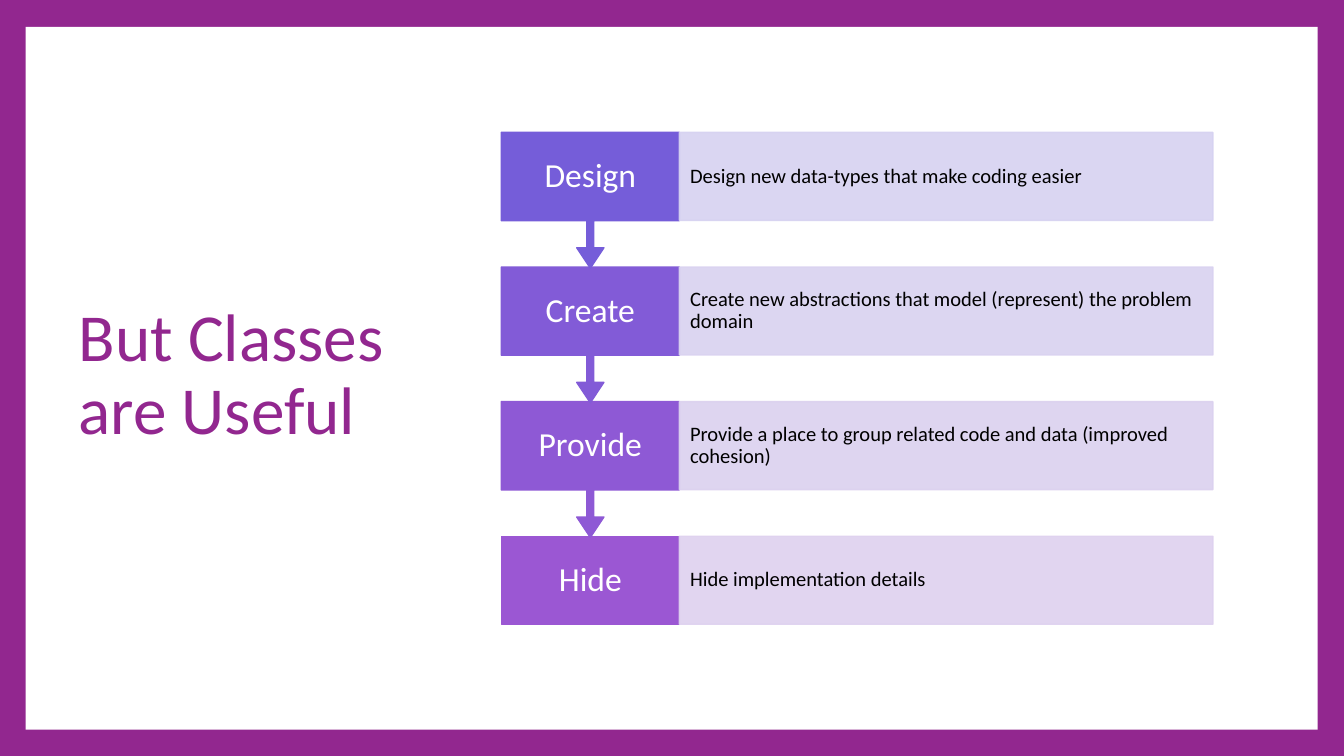
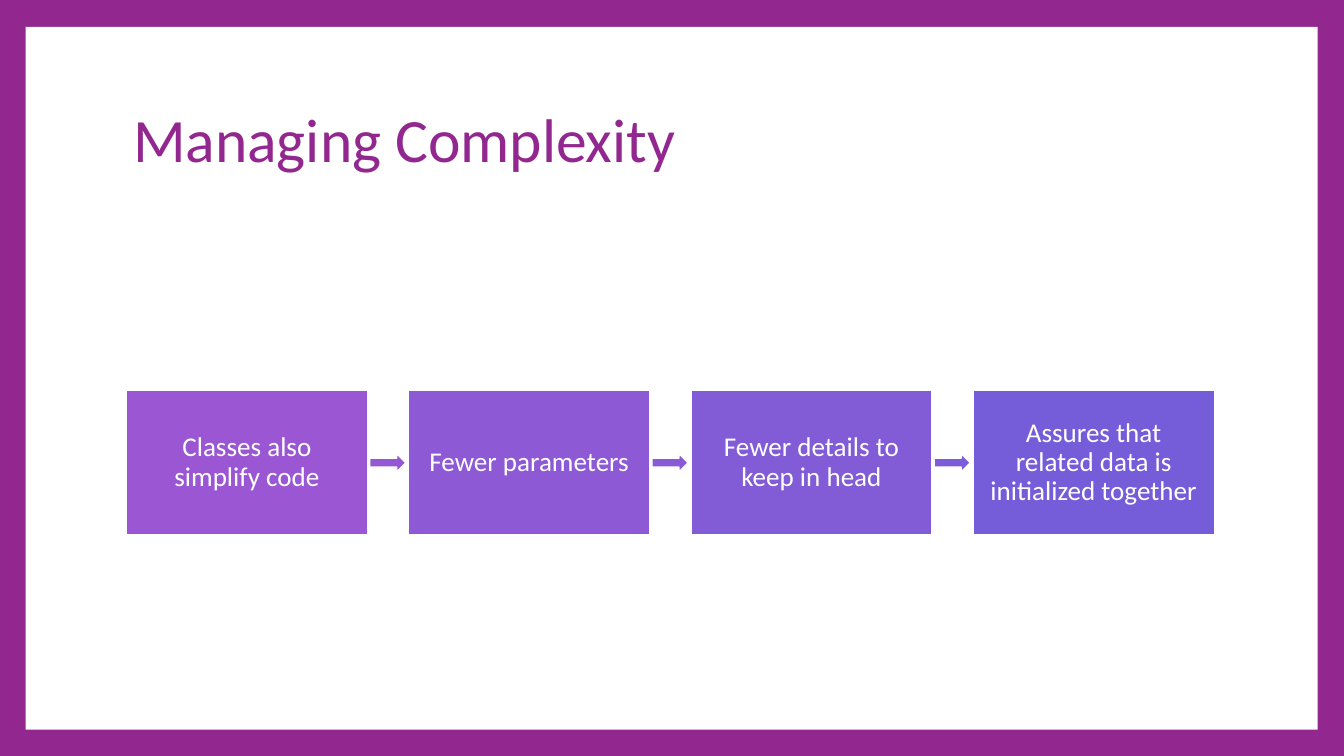
from dataclasses import dataclass

from lxml import etree
from pptx import Presentation
from pptx.dml.color import RGBColor
from pptx.enum.shapes import MSO_SHAPE
from pptx.enum.text import MSO_ANCHOR, MSO_AUTO_SIZE, PP_ALIGN
from pptx.oxml.ns import qn
from pptx.presentation import Presentation as Deck
from pptx.shapes.autoshape import Shape
from pptx.slide import Slide, SlideLayout
from pptx.text.text import TextFrame
from pptx.util import Inches, Pt

RECTANGLE = MSO_SHAPE.RECTANGLE
CALLOUT = MSO_SHAPE.DOWN_ARROW_CALLOUT
RIGHT_ARROW = MSO_SHAPE.RIGHT_ARROW
MIDDLE = MSO_ANCHOR.MIDDLE
LEFT, CENTER = PP_ALIGN.LEFT, PP_ALIGN.CENTER
NO_AUTOFIT = MSO_AUTO_SIZE.NONE
TITLE_ONLY = 5

# The slide is a grid of 20 columns by 11.25 rows.
COLUMNS, ROWS = 20, 11.25
COLUMN = ROW = Inches(1)


@dataclass(frozen=True)
class Theme:
    font: str = "Calibri"
    frame: RGBColor = RGBColor(0x92, 0x27, 0x8F)
    white: RGBColor = RGBColor(0xFF, 0xFF, 0xFF)
    black: RGBColor = RGBColor(0, 0, 0)
    tones: tuple[RGBColor, ...] = tuple(
        RGBColor.from_string(tone) for tone in ("755DD9", "825BD7", "8E59D5", "9B57D3"))
    tints: tuple[RGBColor, ...] = tuple(
        RGBColor.from_string(tint) for tint in ("D6D2F1", "D9D2F0", "DBD1EF", "DED1EF"))
    tint_opacity: int = 90
    outline: float = 1.5
    side_title: int = 72
    top_title: int = 66
    step_name: int = 36
    step_detail: int = 22
    benefit: int = 29
    line_spacing: float = 0.9


THEME = Theme()


@dataclass(frozen=True)
class Box:
    """An area in columns and rows of the slide grid."""
    left: float
    top: float
    width: float
    height: float

    def lengths(self) -> tuple[int, int, int, int]:
        return (round(self.left * COLUMN), round(self.top * ROW),
                round(self.width * COLUMN), round(self.height * ROW))


@dataclass(frozen=True)
class TextStyle:
    size: int
    color: RGBColor
    alignment: PP_ALIGN
    side_inset: float
    end_inset: float


@dataclass(frozen=True)
class Step:
    name: str
    detail: str


STEP_NAME = TextStyle(THEME.step_name, THEME.white, CENTER, 0.19, 0.28)
STEP_DETAIL = TextStyle(THEME.step_detail, THEME.black, LEFT, 0.16, 0.31)
BENEFIT = TextStyle(THEME.benefit, THEME.white, CENTER, 0.17, 0.17)

PANEL = Box(0.38, 0.4, 19.23, 10.46)
FIRST_STEP = Box(7.46, 1.97, 2.65, 1.31)
LAST_STEP_TOP = 7.98
DETAIL_WIDTH = 7.94
CALLOUT_HEIGHT = 2.02
CALLOUT_ADJUSTMENTS = (0.05, 0.1, 0.15, 0.65)
FIRST_BENEFIT = Box(1.88, 5.81, 3.59, 2.15)
BENEFIT_PITCH = 4.2
ARROW_OFFSET, ARROW_WIDTH, ARROW_HEIGHT = 3.62, 0.54, 0.27

STEPS = (
    Step("Design", "Design new data-types that make coding easier"),
    Step("Create", "Create new abstractions that model (represent) the problem domain"),
    Step("Provide", "Provide a place to group related code and data (improved cohesion)"),
    Step("Hide", "Hide implementation details"),
)
BENEFITS = (
    "Classes also simplify code",
    "Fewer parameters",
    "Fewer details to keep in head",
    "Assures that related data is initialized together",
)


def write(frame: TextFrame, text: str, style: TextStyle) -> None:
    frame.word_wrap = True
    frame.auto_size = NO_AUTOFIT
    frame.vertical_anchor = MIDDLE
    frame.margin_left = frame.margin_right = Inches(style.side_inset)
    frame.margin_top = frame.margin_bottom = Inches(style.end_inset)
    paragraph = frame.paragraphs[0]
    paragraph.alignment = style.alignment
    paragraph.line_spacing = THEME.line_spacing
    run = paragraph.add_run()
    run.text = text
    run.font.name = THEME.font
    run.font.size = Pt(style.size)
    run.font.color.rgb = style.color


def add_block(slide: Slide, kind: MSO_SHAPE, box: Box,
              fill: RGBColor, line: RGBColor) -> Shape:
    shape = slide.shapes.add_shape(kind, *box.lengths())
    shape.shadow.inherit = False
    shape.fill.solid()
    shape.fill.fore_color.rgb = fill
    shape.line.color.rgb = line
    shape.line.width = Pt(THEME.outline)
    return shape


def set_opacity(shape: Shape, percent: int) -> None:
    for color in shape.element.spPr.iter(qn("a:srgbClr")):
        etree.SubElement(color, qn("a:alpha")).set("val", str(percent * 1000))


def blend(first: RGBColor, second: RGBColor) -> RGBColor:
    return RGBColor(*((a + b + 1) // 2 for a, b in zip(first, second)))


def add_titled_slide(presentation: Deck, title: str, box: Box, size: int) -> Slide:
    slide = presentation.slides.add_slide(presentation.slide_layouts[TITLE_ONLY])
    placeholder = slide.shapes.title
    (placeholder.left, placeholder.top,
     placeholder.width, placeholder.height) = box.lengths()
    write(placeholder.text_frame, title, TextStyle(size, THEME.frame, LEFT, 0.1, 0.05))
    return slide


def move_panel_to_layout(slide: Slide, layout: SlideLayout) -> None:
    """Draw the white panel once, behind everything on the shared layout."""
    panel = add_block(slide, RECTANGLE, PANEL, THEME.white, THEME.white)
    panel.line.fill.background()
    panel.element.nvSpPr.cNvPr.set("id", "100")
    layout.shapes.element.insert(2, panel.element)


def add_step(slide: Slide, index: int) -> None:
    step, tone, tint = STEPS[index], THEME.tones[index], THEME.tints[index]
    is_last = index == len(STEPS) - 1
    pitch = (LAST_STEP_TOP - FIRST_STEP.top) / (len(STEPS) - 1)
    left, top = FIRST_STEP.left, FIRST_STEP.top + index * pitch
    width, height = FIRST_STEP.width, FIRST_STEP.height

    name_height = height if is_last else CALLOUT_HEIGHT
    name = add_block(slide, RECTANGLE if is_last else CALLOUT,
                     Box(left, top, width, name_height), tone, tone)
    if not is_last:
        for position, value in enumerate(CALLOUT_ADJUSTMENTS):
            name.adjustments[position] = value
    write(name.text_frame, step.name, STEP_NAME)

    detail = add_block(slide, RECTANGLE, Box(left + width, top, DETAIL_WIDTH, height),
                       tint, tint)
    set_opacity(detail, THEME.tint_opacity)
    write(detail.text_frame, step.detail, STEP_DETAIL)


def add_benefits(slide: Slide) -> None:
    tones = THEME.tones[::-1]
    first = FIRST_BENEFIT
    arrow_top = first.top + (first.height - ARROW_HEIGHT) / 2
    for index, (benefit, tone) in enumerate(zip(BENEFITS, tones)):
        left = first.left + index * BENEFIT_PITCH
        if index:
            arrow_left = left - BENEFIT_PITCH + ARROW_OFFSET
            add_block(slide, RIGHT_ARROW,
                      Box(arrow_left, arrow_top, ARROW_WIDTH, ARROW_HEIGHT),
                      blend(tones[index - 1], tone), THEME.white)
        block = add_block(slide, RECTANGLE, Box(left, first.top, first.width, first.height),
                          tone, THEME.white)
        write(block.text_frame, benefit, BENEFIT)


def main() -> None:
    presentation = Presentation()
    presentation.slide_width = COLUMNS * COLUMN
    presentation.slide_height = round(ROWS * ROW)
    background = presentation.slide_master.background.fill
    background.solid()
    background.fore_color.rgb = THEME.frame

    useful = add_titled_slide(presentation, "But Classes are Useful",
                              Box(1.07, 1, 5.52, 9.2), THEME.side_title)
    move_panel_to_layout(useful, presentation.slide_layouts[TITLE_ONLY])
    # Last step first, so that each arrow tip lies over the step below it.
    for index in reversed(range(len(STEPS))):
        add_step(useful, index)

    complexity = add_titled_slide(presentation, "Managing Complexity",
                                  Box(1.88, 1, 16.2, 2.23), THEME.top_title)
    add_benefits(complexity)
    presentation.save("out.pptx")


if __name__ == "__main__":
    main()
